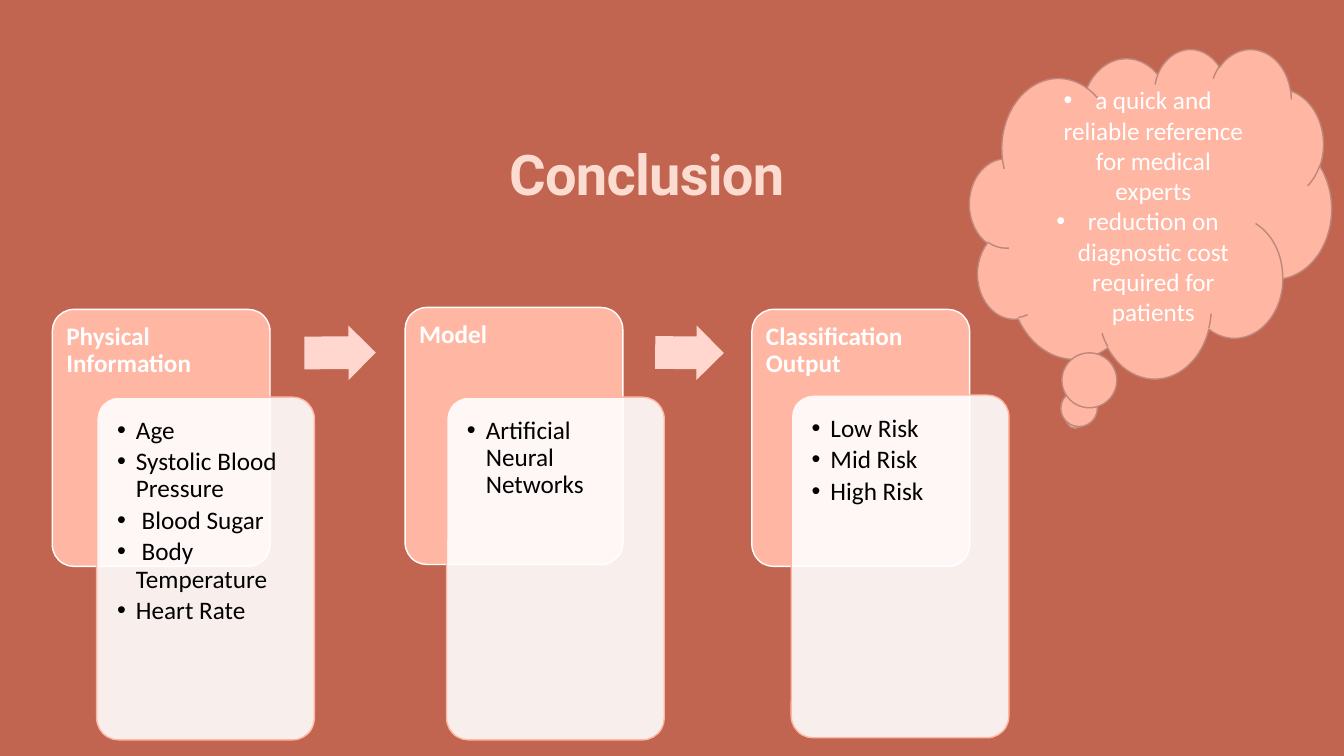
from lxml.etree import SubElement
from pptx import Presentation
from pptx.dml.color import RGBColor
from pptx.enum.shapes import MSO_SHAPE as Preset
from pptx.enum.text import MSO_ANCHOR as Anchor, MSO_AUTO_SIZE as AutoSize, PP_ALIGN as Align
from pptx.oxml.ns import qn
from pptx.util import Pt


def colour(hex_code):
    return RGBColor.from_string(hex_code)


class ConclusionSlide:
    CLAY, SALMON, BLUSH, CREAM = "C16550", "FFB6A3", "FFD7CE", "FCDCD1"
    WHITE, BLACK, OUTLINE = "FFFFFF", "000000", "BD8779"
    BODY_FONT, TITLE_FONT = "Calibri", "Roboto"
    BODY_SIZE, TITLE_SIZE = 18, 40

    def __init__(self, deck):
        self.slide = deck.slides.add_slide(deck.slide_layouts[5])
        backdrop = self.slide.background.fill
        backdrop.solid()
        backdrop.fore_color.rgb = colour(self.CLAY)

    def style_font(self, font, name, size, ink, bold=False):
        font.name = name
        font.size = Pt(size)
        font.bold = bold
        font.color.rgb = colour(ink)

    def set_margins(self, frame, left, top, right, bottom):
        frame.margin_left, frame.margin_top = Pt(left), Pt(top)
        frame.margin_right, frame.margin_bottom = Pt(right), Pt(bottom)

    def title(self, wording, left, top, width, height):
        heading = self.slide.shapes.title
        heading.left, heading.top = Pt(left), Pt(top)
        heading.width, heading.height = Pt(width), Pt(height)
        frame = heading.text_frame
        frame.text = wording
        frame.word_wrap = True
        frame.auto_size = AutoSize.SHAPE_TO_FIT_TEXT
        frame.vertical_anchor = Anchor.BOTTOM
        self.set_margins(frame, 0, 0, 0, 0)
        line = frame.paragraphs[0]
        line.alignment = Align.CENTER
        run = line.runs[0]
        self.style_font(run.font, self.TITLE_FONT, self.TITLE_SIZE, self.CREAM, True)
        run._r.get_or_add_rPr().set("spc", "-50")

    def shape(self, preset, left, top, width, height, fill, outline=None, opacity=100):
        figure = self.slide.shapes.add_shape(preset, Pt(left), Pt(top), Pt(width), Pt(height))
        figure.shadow.inherit = False
        figure.fill.solid()
        figure.fill.fore_color.rgb = colour(fill)
        if opacity < 100:
            tint = figure.fill._xPr.find(f".//{qn('a:srgbClr')}")
            SubElement(tint, qn("a:alpha"), val=str(opacity * 1000))
        if outline:
            figure.line.color.rgb = colour(outline)
            figure.line.width = Pt(1)
        else:
            figure.line.fill.background()
        return figure

    def label(self, figure, entries, ink, indent=0, bold=False, align=Align.LEFT,
              anchor=Anchor.TOP, spacing=1.0, after=0):
        frame = figure.text_frame
        frame.text = "\n".join(entries)
        frame.word_wrap = True
        frame.vertical_anchor = anchor
        for entry in frame.paragraphs:
            entry.alignment = align
            entry.line_spacing = spacing
            entry.space_after = Pt(after)
            if indent:
                properties = entry._p.get_or_add_pPr()
                properties.set("marL", str(Pt(indent)))
                properties.set("indent", str(-Pt(indent)))
                SubElement(properties, qn("a:buFont"), typeface="Arial")
                SubElement(properties, qn("a:buChar"), char="•")
            for run in entry.runs:
                self.style_font(run.font, self.BODY_FONT, self.BODY_SIZE, ink, bold)

    def card(self, left, top, height, fill, outline, opacity=100):
        panel = self.shape(Preset.ROUNDED_RECTANGLE, left, top, 155.5, height, fill, outline, opacity)
        panel.adjustments[0] = 0.1
        return panel

    def stage(self, heading, details, left, top, detail_left, detail_top):
        header = self.card(left, top, 183.6, self.SALMON, self.WHITE)
        self.set_margins(header.text_frame, 5.5, 5.5, 5.5, 5)
        self.label(header, [heading], self.WHITE, bold=True, spacing=0.9)
        panel = self.card(detail_left, detail_top, 244.8, self.WHITE, self.SALMON, 90)
        self.set_margins(panel.text_frame, 10, 10, 10, 10)
        self.label(panel, details, self.BLACK, indent=13.5, spacing=0.9, after=3)

    def arrow(self, left, width, rotation):
        pointer = self.shape(Preset.RIGHT_ARROW, left, 232.5, width, 39, self.BLUSH)
        pointer.adjustments[0] = 0.6
        pointer.adjustments[1] = 0.5
        pointer.rotation = rotation

    def thought(self, benefits, left, top, width, height):
        cloud = self.shape(Preset.CLOUD_CALLOUT, left, top, width, height, self.SALMON, self.OUTLINE)
        self.label(cloud, benefits, self.WHITE, indent=22.5, align=Align.CENTER, anchor=Anchor.MIDDLE)


def main():
    deck = Presentation()
    deck.slide_width, deck.slide_height = Pt(960), Pt(540)
    conclusion = ConclusionSlide(deck)
    conclusion.title("Conclusion", 102, 99.5, 720, 48)

    measurements = ["Age", "Systolic Blood Pressure", " Blood Sugar", " Body Temperature", "Heart Rate"]
    stages = [
        ("Physical Information", measurements, 37.4, 221, 69.1, 283.7),
        ("Model", ["Artificial Neural Networks"], 289.4, 219.6, 319, 283.7),
        ("Classification Output", ["Low Risk", "Mid Risk", "High Risk"], 537.1, 221, 565.2, 282.2),
    ]
    for stage in stages:
        conclusion.stage(*stage)
    for left, width, rotation in [(217.4, 51, 359.6), (468, 49, 0.4)]:
        conclusion.arrow(left, width, rotation)

    benefits = [
        "a quick and reliable reference for medical experts",
        "reduction on diagnostic cost required for patients",
    ]
    conclusion.thought(benefits, 692.6, 34.6, 258.5, 235.4)
    deck.save("out.pptx")


if __name__ == "__main__":
    main()
